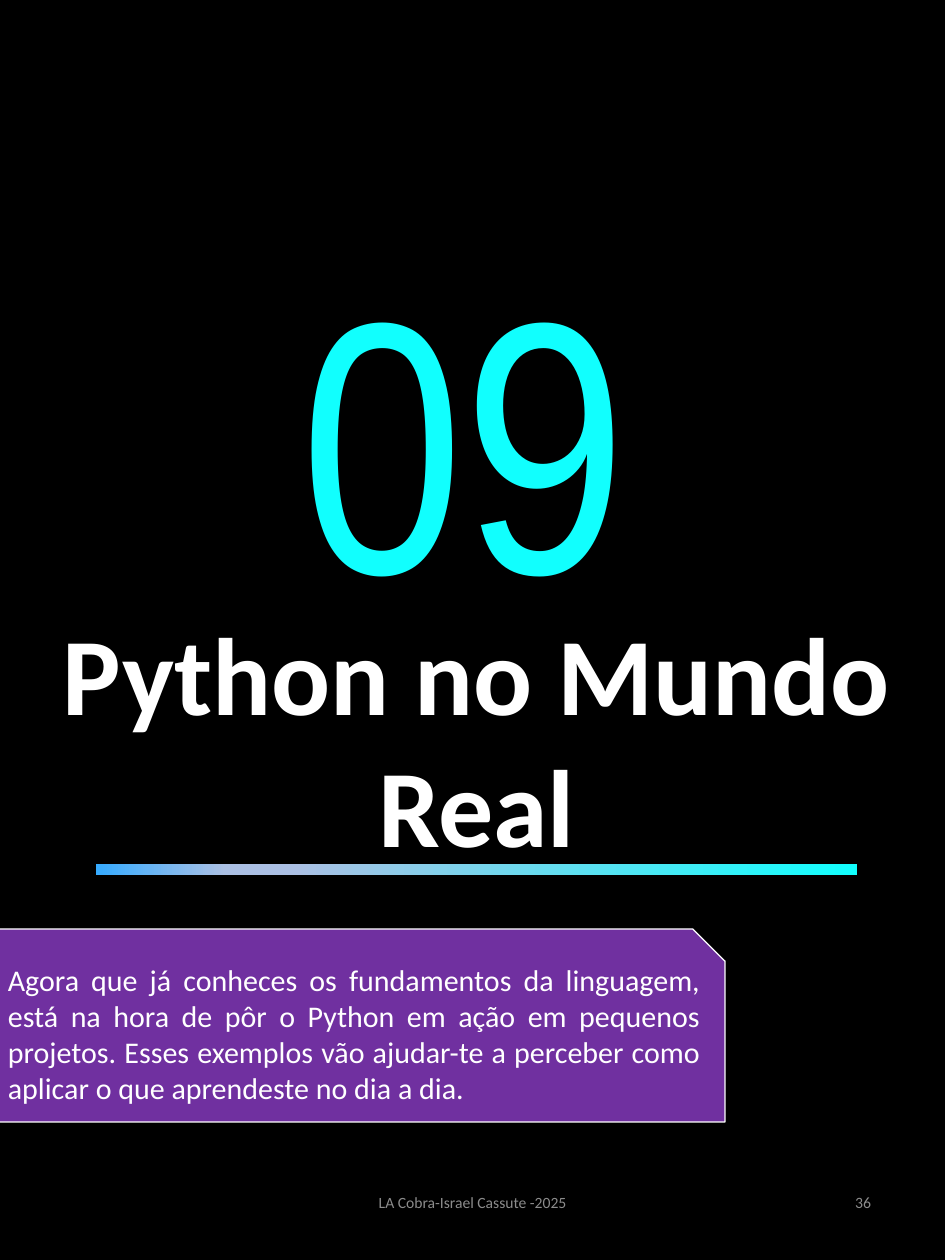
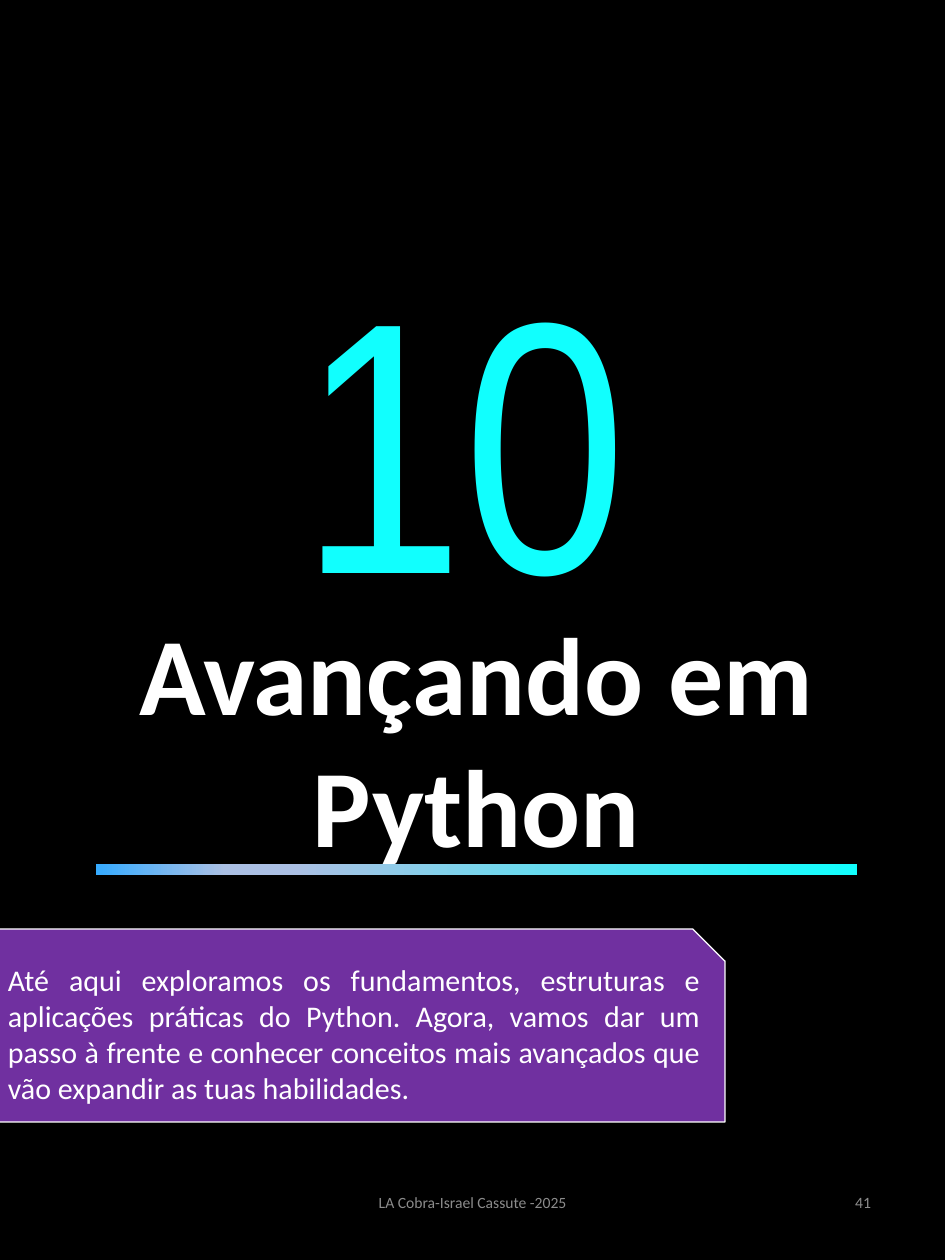
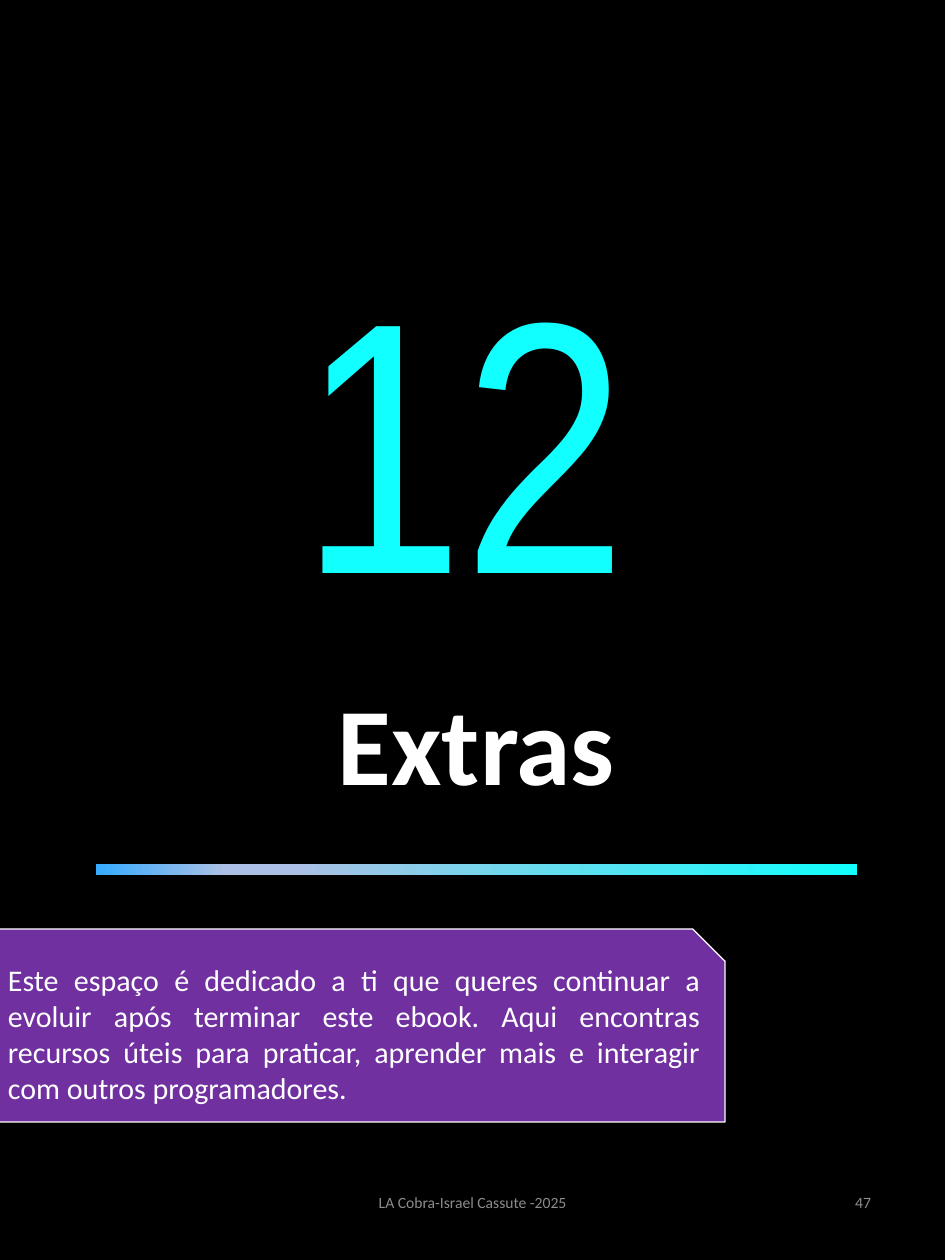
from dataclasses import dataclass

from lxml import etree
from pptx import Presentation
from pptx import util as u
from pptx.dml.color import RGBColor
from pptx.enum import shapes, text
from pptx.oxml import ns

PX = 10160  # EMU per pixel at 90 pixels to the inch
PAGE_WIDTH, PAGE_HEIGHT = 945, 1260
TITLE_ONLY = 5

BLACK, WHITE, GREY = "000000", "FFFFFF", "8C8C8C"
CYAN, PURPLE = "11FFFE", "7030A0"
BAR_STOPS = ((0, CYAN), (74, "ABC0E4"), (83, "ABC0E4"), (100, "36ABFF"))
FOOTER = "LA Cobra-Israel Cassute -2025"

ALIGN, ANCHOR = text.PP_ALIGN, text.MSO_ANCHOR
SHAPE = shapes.MSO_SHAPE


@dataclass(frozen=True)
class Area:
    left: int
    top: int
    width: int
    height: int

    def emu(self) -> tuple[int, ...]:
        return tuple(px * PX for px in (self.left, self.top, self.width, self.height))


@dataclass(frozen=True)
class TextStyle:
    size: float
    color: str
    align: ALIGN
    anchor: ANCHOR = ANCHOR.MIDDLE
    font: str = "Calibri"
    bold: bool = False
    grows: bool = False


@dataclass(frozen=True)
class Chapter:
    number: str
    title: str
    intro: str
    page_number: int
    title_area: Area


PAGE = Area(0, 0, PAGE_WIDTH, PAGE_HEIGHT)
TWO_LINE_TITLE = Area(28, 601, 897, 275)
ONE_LINE_TITLE = Area(28, 671, 897, 142)
NUMBER = Area(79, 210, 770, 444)
BAR = Area(96, 864, 761, 11)
PAGE_NUMBER = Area(668, 1168, 212, 68)
FOOTER_AREA = Area(313, 1168, 319, 68)
INTRO = Area(-1, 929, 726, 193)

TITLE_STYLE = TextStyle(88, WHITE, ALIGN.CENTER, ANCHOR.TOP, bold=True, grows=True)
NUMBER_STYLE = TextStyle(287, CYAN, ALIGN.CENTER, ANCHOR.TOP, "Arial Narrow", grows=True)
PAGE_NUMBER_STYLE = TextStyle(12.6, GREY, ALIGN.RIGHT)
FOOTER_STYLE = TextStyle(12.5, GREY, ALIGN.CENTER)
INTRO_STYLE = TextStyle(24, WHITE, ALIGN.JUSTIFY)

CHAPTERS = (
    Chapter(
        "09",
        "Python no Mundo Real",
        "Agora que já conheces os fundamentos da linguagem, está na hora de pôr o Python "
        "em ação em pequenos projetos. Esses exemplos vão ajudar-te a perceber como "
        "aplicar o que aprendeste no dia a dia.",
        36,
        TWO_LINE_TITLE,
    ),
    Chapter(
        "10",
        "Avançando em Python",
        "Até aqui exploramos os fundamentos, estruturas e aplicações práticas do Python. "
        "Agora, vamos dar um passo à frente e conhecer conceitos mais avançados que vão "
        "expandir as tuas habilidades.",
        41,
        TWO_LINE_TITLE,
    ),
    Chapter(
        "12",
        "Extras",
        "Este espaço é dedicado a ti que queres continuar a evoluir após terminar este "
        "ebook. Aqui encontras recursos úteis para praticar, aprender mais e interagir "
        "com outros programadores.",
        47,
        ONE_LINE_TITLE,
    ),
)


def rgb(color: str) -> RGBColor:
    return RGBColor.from_string(color)


def write(box, words: str, style: TextStyle):
    """Fill a box with one styled paragraph and return the paragraph."""
    frame = box.text_frame
    frame.text = words
    frame.word_wrap = True
    frame.vertical_anchor = style.anchor
    frame.auto_size = (
        text.MSO_AUTO_SIZE.SHAPE_TO_FIT_TEXT if style.grows else text.MSO_AUTO_SIZE.NONE
    )
    para = frame.paragraphs[0]
    para.alignment = style.align
    para.font.name = style.font
    para.font.size = u.Pt(style.size)
    para.font.bold = style.bold
    para.font.color.rgb = rgb(style.color)
    return para


def add_text(page, area: Area, words: str, style: TextStyle):
    return write(page.shapes.add_textbox(*area.emu()), words, style)


def add_shape(page, kind: SHAPE, area: Area, fill: str | None = None, line: str | None = None):
    shape = page.shapes.add_shape(kind, *area.emu())
    shape.shadow.inherit = False
    if fill:
        shape.fill.solid()
        shape.fill.fore_color.rgb = rgb(fill)
    if line:
        shape.line.color.rgb = rgb(line)
        shape.line.width = u.Pt(1)
    else:
        shape.line.fill.background()
    return shape


def add_color(parent, color: str) -> None:
    etree.SubElement(parent, ns.qn("a:srgbClr"), val=color)


def outline(para, color: str, points: float) -> None:
    """Draw a line around the letters of a paragraph."""
    line = etree.Element(ns.qn("a:ln"), w=str(u.Pt(points)))
    add_color(etree.SubElement(line, ns.qn("a:solidFill")), color)
    for properties in para._p.iter(ns.qn("a:defRPr")):
        properties.insert(0, line)


def add_gradient_bar(page) -> None:
    bar = add_shape(page, SHAPE.RECTANGLE, BAR)
    bar.fill.gradient()
    bar.fill.gradient_angle = 180
    stops = bar._element.spPr.find(".//" + ns.qn("a:gsLst"))
    for stop in list(stops):
        stops.remove(stop)
    for percent, color in BAR_STOPS:
        add_color(etree.SubElement(stops, ns.qn("a:gs"), pos=str(percent * 1000)), color)


def add_title(page, area: Area, words: str) -> None:
    title = page.shapes.title
    title.left, title.top, title.width, title.height = area.emu()
    write(title, words, TITLE_STYLE)


def add_backdrop(page) -> None:
    backdrop = add_shape(page, SHAPE.RECTANGLE, PAGE, BLACK)
    page.shapes.title._element.addprevious(backdrop._element)


def add_chapter(deck, chapter: Chapter) -> None:
    page = deck.slides.add_slide(deck.slide_layouts[TITLE_ONLY])
    add_backdrop(page)
    add_title(page, chapter.title_area, chapter.title)
    outline(add_text(page, NUMBER, chapter.number, NUMBER_STYLE), CYAN, 0.75)
    add_gradient_bar(page)
    add_text(page, PAGE_NUMBER, str(chapter.page_number), PAGE_NUMBER_STYLE)
    add_text(page, FOOTER_AREA, FOOTER, FOOTER_STYLE)
    intro = add_shape(page, SHAPE.SNIP_1_RECTANGLE, INTRO, PURPLE, WHITE)
    write(intro, chapter.intro, INTRO_STYLE)


def main() -> None:
    deck = Presentation()
    deck.slide_width, deck.slide_height = PAGE_WIDTH * PX, PAGE_HEIGHT * PX
    for chapter in CHAPTERS:
        add_chapter(deck, chapter)
    deck.save("out.pptx")


if __name__ == "__main__":
    main()
